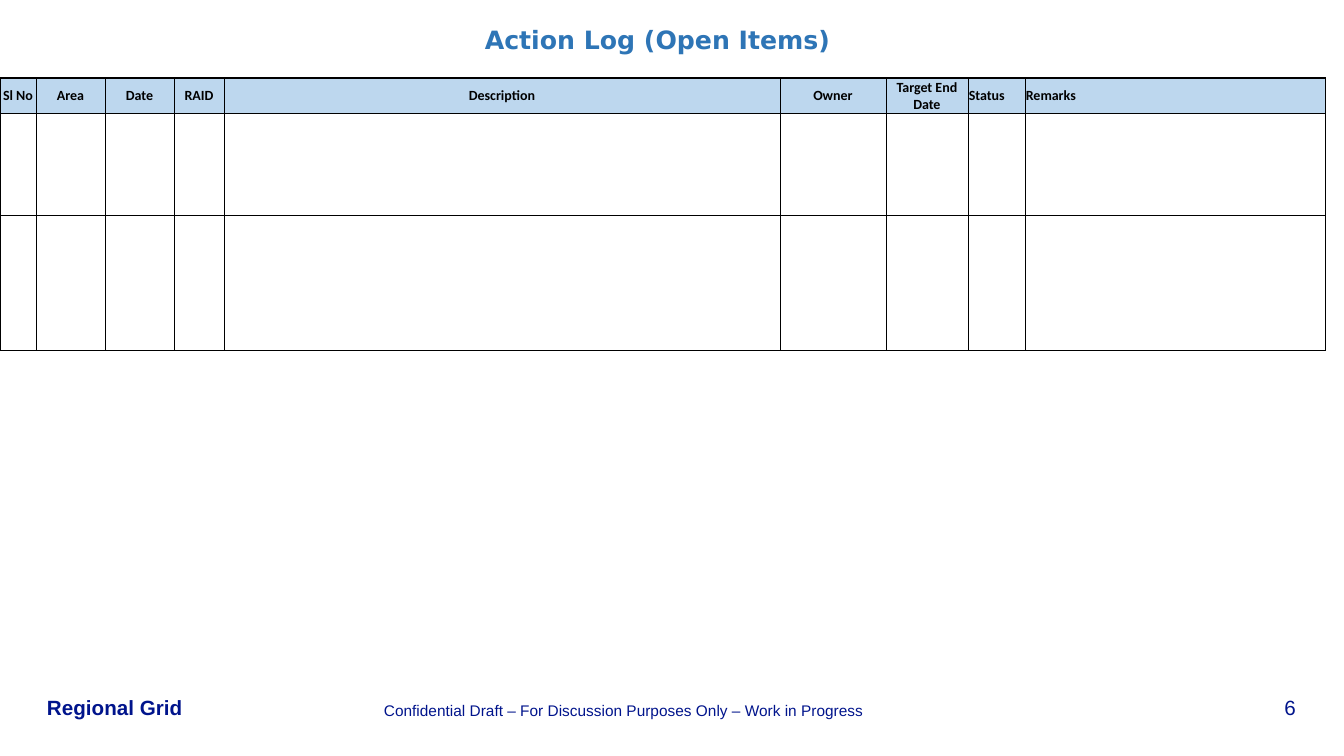
from dataclasses import dataclass

from lxml import etree
from pptx import Presentation
from pptx import util as u
from pptx.dml import color
from pptx.enum import text
from pptx.oxml import ns

LEFT, CENTER, RIGHT = text.PP_ALIGN.LEFT, text.PP_ALIGN.CENTER, text.PP_ALIGN.RIGHT
TOP, MIDDLE, BOTTOM = text.MSO_ANCHOR.TOP, text.MSO_ANCHOR.MIDDLE, text.MSO_ANCHOR.BOTTOM


@dataclass(frozen=True)
class Theme:
    title_color: str = "2E75B6"
    footer_color: str = "00148C"
    header_fill: str = "BDD7EE"
    ink: str = "000000"
    title_font: str = "DejaVu Sans"
    footer_font: str = "Arial"
    table_font: str = "Calibri"
    title_size: float = 18
    footer_size: float = 14.7
    notice_size: float = 11
    table_size: float = 10
    thin_line: float = 0.5
    thick_line: float = 1


def px(length):
    return u.Emu(round(length * u.Inches(1) / 100.8))


def apply(target, values):
    for name, value in values.items():
        setattr(target, name, value)


class SlideBuilder:
    def __init__(self, presentation, theme):
        self.theme = theme
        self.slide = presentation.slides.add_slide(presentation.slide_layouts[5])

    def set_text(self, frame, words, font, size, ink, bold=False, align=LEFT):
        frame.text = words
        paragraph = frame.paragraphs[0]
        paragraph.alignment = align
        run_font = paragraph.runs[0].font
        apply(run_font, {"name": font, "size": u.Pt(size), "bold": bold})
        run_font.color.rgb = color.RGBColor.from_string(ink)

    def fit(self, frame, anchor):
        apply(frame, {
            "margin_left": 0, "margin_right": 0, "margin_top": 0, "margin_bottom": 0,
            "word_wrap": True, "auto_size": text.MSO_AUTO_SIZE.NONE,
            "vertical_anchor": anchor,
        })

    def title(self, words, left, top, width, height):
        shape = self.slide.shapes.title
        apply(shape, {"left": px(left), "top": px(top),
                      "width": px(width), "height": px(height)})
        self.fit(shape.text_frame, TOP)
        self.set_text(shape.text_frame, words, self.theme.title_font, self.theme.title_size,
                      self.theme.title_color, True, CENTER)

    def footer(self, words, left, top, width, height, size, bold=False, align=LEFT):
        shape = self.slide.shapes.add_textbox(px(left), px(top), px(width), px(height))
        self.fit(shape.text_frame, BOTTOM)
        self.set_text(shape.text_frame, words, self.theme.footer_font, size,
                      self.theme.footer_color, bold, align)

    def border(self, cell, side, weight):
        line = etree.SubElement(cell._tc.get_or_add_tcPr(), ns.qn(f"a:ln{side}"),
                                w=str(u.Pt(weight)))
        fill = etree.SubElement(line, ns.qn("a:solidFill"))
        etree.SubElement(fill, ns.qn("a:srgbClr"), val=self.theme.ink)

    def table(self, left, top, columns, row_heights):
        widths = [width for _, width, _ in columns]
        table = self.slide.shapes.add_table(
            len(row_heights), len(columns), px(left), px(top),
            px(sum(widths)), px(sum(row_heights))).table
        apply(table, {"first_row": False, "horz_banding": False})
        for column, width in zip(table.columns, widths):
            column.width = px(width)
        for row, height in zip(table.rows, row_heights):
            row.height = px(height)
        for row_index, row in enumerate(table.rows):
            for column_index, cell in enumerate(row.cells):
                outer = {"L": column_index == 0, "R": column_index == len(columns) - 1,
                         "T": row_index == 0, "B": False}
                for side, thick in outer.items():
                    self.border(cell, side,
                                self.theme.thick_line if thick else self.theme.thin_line)
                if row_index:
                    cell.fill.background()
                    continue
                cell.fill.solid()
                cell.fill.fore_color.rgb = color.RGBColor.from_string(self.theme.header_fill)
                apply(cell, {"margin_left": px(1), "margin_right": px(1),
                             "margin_top": px(1), "margin_bottom": 0,
                             "vertical_anchor": MIDDLE})
                heading, _, align = columns[column_index]
                self.set_text(cell.text_frame, heading, self.theme.table_font,
                              self.theme.table_size, self.theme.ink, True, align)


def main():
    presentation = Presentation()
    apply(presentation, {"slide_width": px(1344), "slide_height": px(756)})
    theme = Theme()
    builder = SlideBuilder(presentation, theme)
    builder.footer("6", 1218, 695, 78, 25, theme.footer_size, align=RIGHT)
    builder.footer("Regional Grid", 47, 695, 140, 25, theme.footer_size, bold=True)
    builder.title("Action Log (Open Items)", 33, 24, 1249, 64)
    builder.footer("Confidential Draft – For Discussion Purposes Only – Work in Progress",
                   384, 701, 736, 19, theme.notice_size)
    columns = [
        ("Sl No", 36, CENTER), ("Area", 69, CENTER), ("Date", 69, CENTER),
        ("RAID", 50, CENTER), ("Description", 556, CENTER), ("Owner", 106, CENTER),
        ("Target End Date", 82, CENTER), ("Status", 57, LEFT), ("Remarks", 301, LEFT),
    ]
    builder.table(0, 78, columns, [35, 102, 135])
    presentation.save("out.pptx")


if __name__ == "__main__":
    main()
